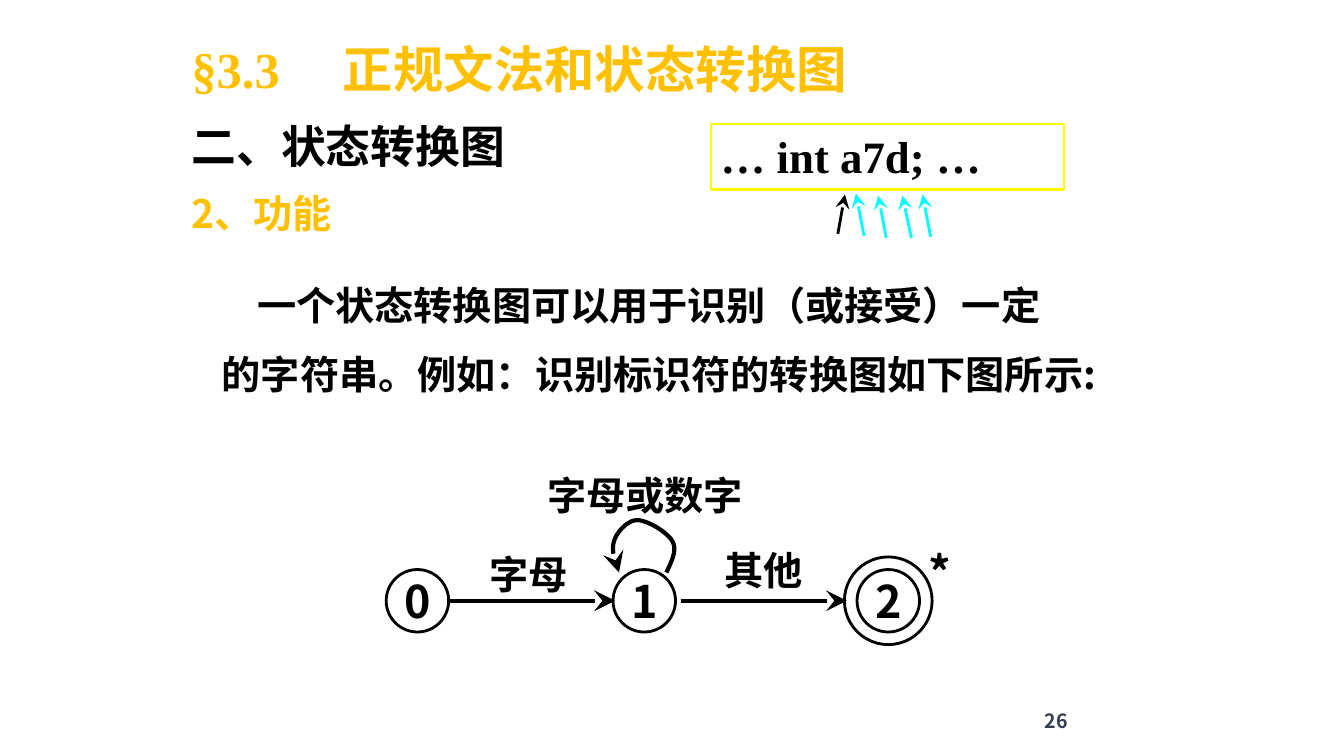
from lxml import etree
from pptx import Presentation, util as u
from pptx.dml.color import RGBColor
from pptx.enum import shapes as kinds, text as t
from pptx.oxml.ns import qn

SANS, SERIF = "Noto Sans CJK SC", "Times New Roman"
BLACK, GOLD, CYAN, YELLOW, SLATE = "000000", "FFC000", "00FFFF", "FFFF00", "333F50"

# Text, size, font, colour
HEADINGS = [
    ("§3.3\t正规文法和状态转换图", 36, SERIF, GOLD),
    ("二、状态转换图", 32, SERIF, BLACK),
    ("2、功能", 28, SANS, GOLD),
]
EXPLANATION = [
    ("一个状态转换图可以用于识别（或接受）一定", 28, SANS, BLACK),
    ("的字符串。例如：识别标识符的转换图如下图所示:", 28, SANS, BLACK),
]
INPUT_TAPE = ("… int a7d; …", 32, SERIF, BLACK)
PAGE_NUMBER = ("26", 14, SANS, SLATE)

# State name, centre x; all states share one axis
STATE_Y, STATE_SIZE, FINAL_SIZE = 5.96, 0.62, 0.87
STATES = [("0", 4.14), ("1", 6.39), ("2", 8.81)]
TRANSITIONS = [(4.44, 6.1), (6.75, 8.4)]
# Label, size, left, top, width, height
EDGE_LABELS = [
    ("字母", 28, 4.76, 5.41, 1.06, 0.57),
    ("字母或数字", 28, 5.33, 4.63, 2.85, 0.57),
    ("其他", 28, 7.09, 5.37, 1.14, 0.57),
    ("*", 32, 9.11, 5.35, 0.39, 0.63),
]
# Bezier control points of the loop on state 1, three more per segment
LOOP = [(6.61, 5.68), (6.66, 5.57), (6.72, 5.46), (6.67, 5.37),
        (6.62, 5.28), (6.42, 5.16), (6.32, 5.16),
        (6.22, 5.16), (6.11, 5.29), (6.09, 5.37),
        (6.06, 5.46), (6.10, 5.57), (6.14, 5.68)]
# Reading positions under the tape: start, end, colour
POINTERS = [
    ((8.31, 2.32), (8.38, 1.93), BLACK),
    ((8.57, 2.34), (8.49, 1.92), CYAN),
    ((8.79, 2.36), (8.71, 1.94), CYAN),
    ((9.04, 2.36), (8.95, 1.94), CYAN),
    ((9.23, 2.35), (9.15, 1.93), CYAN),
]

deck = Presentation()
deck.slide_width, deck.slide_height = u.Inches(13.33), u.Inches(7.5)
slide = deck.slides.add_slide(deck.slide_layouts[6])


def color(code):
    return RGBColor.from_string(code)


def write(shape, lines, inset=0.1, spacing=1.0, align=t.PP_ALIGN.LEFT,
          anchor=t.MSO_ANCHOR.TOP, wrap=True):
    frame = shape.text_frame
    frame.word_wrap, frame.vertical_anchor = wrap, anchor
    frame.margin_left = frame.margin_right = u.Inches(inset)
    for i, (words, size, font, code) in enumerate(lines):
        paragraph = frame.add_paragraph() if i else frame.paragraphs[0]
        paragraph.alignment, paragraph.line_spacing = align, spacing
        if i:
            paragraph.space_before = u.Pt(round(size * 0.2, 1))
        run = paragraph.add_run()
        run.text = words
        run.font.size, run.font.bold, run.font.name = u.Pt(size), True, font
        run.font.color.rgb = color(code)
        east_asian = etree.SubElement(run.font._element, qn("a:ea"))
        east_asian.set("typeface", SANS)
    return frame


def text_box(left, top, width, height, lines, **layout):
    box = slide.shapes.add_textbox(*map(u.Inches, (left, top, width, height)))
    return write(box, lines, **layout)


def outline(shape, code, weight):
    shape.line.color.rgb, shape.line.width = color(code), u.Pt(weight)


def outlined(kind, left, top, width, height, code, weight):
    shape = slide.shapes.add_shape(kind, *map(u.Inches, (left, top, width, height)))
    shape.shadow.inherit = False
    shape.fill.background()
    outline(shape, code, weight)
    return shape


def circle(x, size):
    return outlined(kinds.MSO_SHAPE.OVAL, x - size / 2, STATE_Y - size / 2,
                    size, size, BLACK, 2)


def add_arrowhead(shape):
    etree.SubElement(shape.line._get_or_add_ln(), qn("a:tailEnd"),
                     type="stealth", w="lg", len="lg")


def arrow(start, end, code, weight):
    line = slide.shapes.add_connector(kinds.MSO_CONNECTOR.STRAIGHT,
                                      *map(u.Inches, (*start, *end)))
    outline(line, code, weight)
    add_arrowhead(line)
    etree.SubElement(line._element.spPr, qn("a:effectLst"))


def bezier_points(controls, steps=10):
    """Points in EMU along a chain of cubic segments, with its first point."""
    yield tuple(map(u.Inches, controls[0]))
    for first in range(0, len(controls) - 1, 3):
        segment = controls[first:first + 4]
        for step in range(1, steps + 1):
            s = step / steps
            weights = ((1 - s) ** 3, 3 * s * (1 - s) ** 2, 3 * s * s * (1 - s), s ** 3)
            yield tuple(u.Inches(sum(w * p[axis] for w, p in zip(weights, segment)))
                        for axis in (0, 1))


def draw_loop():
    start, *rest = bezier_points(LOOP)
    builder = slide.shapes.build_freeform(*start)
    builder.add_line_segments(rest, close=False)
    loop = builder.convert_to_shape()
    loop.shadow.inherit = False
    loop.fill.background()
    outline(loop, BLACK, 3)
    add_arrowhead(loop)


text_box(9.38, 6.95, 1.31, 0.4, [PAGE_NUMBER], align=t.PP_ALIGN.RIGHT,
         anchor=t.MSO_ANCHOR.MIDDLE)

headings = text_box(1.76, 0.21, 9.67, 1.62, HEADINGS, inset=0.14, spacing=1.2)
tabs = etree.SubElement(headings.paragraphs[0]._p.get_or_add_pPr(), qn("a:tabLst"))
etree.SubElement(tabs, qn("a:tab"), pos=str(u.Inches(1.5)), algn="l")

explanation = text_box(2.06, 2.6, 9.42, 1.33, EXPLANATION, inset=0.14, spacing=1.3,
                       align=t.PP_ALIGN.JUSTIFY)
explanation.paragraphs[0]._p.get_or_add_pPr().set("indent", str(u.Inches(0.35)))

for name, x in STATES:
    write(circle(x, STATE_SIZE), [(name, 32, SANS, BLACK)], inset=0,
          align=t.PP_ALIGN.CENTER, anchor=t.MSO_ANCHOR.MIDDLE, wrap=False)
circle(STATES[-1][1], FINAL_SIZE)

for start_x, end_x in TRANSITIONS:
    arrow((start_x, STATE_Y), (end_x, STATE_Y), BLACK, 3)
draw_loop()
for label, size, *place in EDGE_LABELS:
    text_box(*place, [(label, size, SANS, BLACK)])

write(outlined(kinds.MSO_SHAPE.RECTANGLE, 7.05, 1.23, 3.5, 0.65, YELLOW, 1.5),
      [INPUT_TAPE])
for start, end, code in POINTERS:
    arrow(start, end, code, 2)

deck.save("out.pptx")
